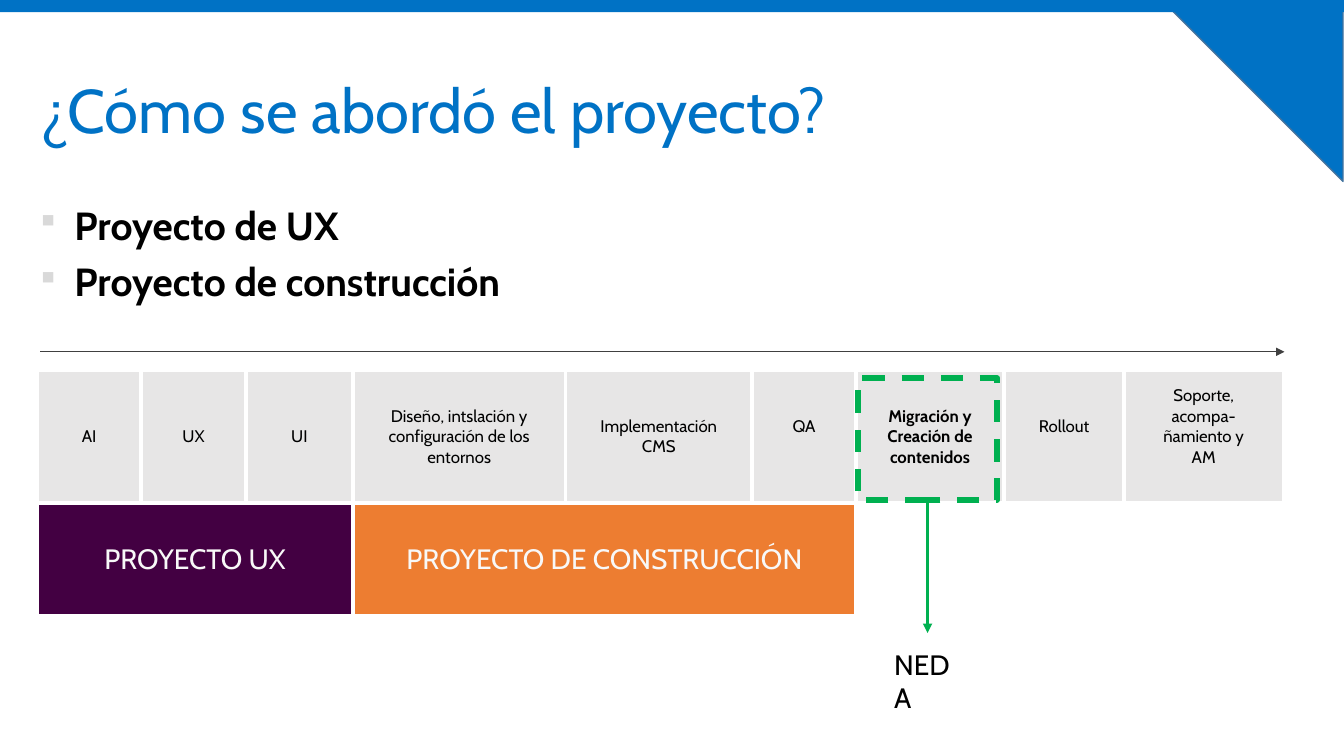
from dataclasses import dataclass

from lxml import etree
from pptx import Presentation
from pptx.dml.color import RGBColor
from pptx.enum.dml import MSO_LINE
from pptx.enum.shapes import MSO_CONNECTOR, MSO_SHAPE
from pptx.enum.text import MSO_ANCHOR, PP_ALIGN
from pptx.oxml.ns import qn
from pptx.util import Inches, Pt

RECTANGLE, TRIANGLE = MSO_SHAPE.RECTANGLE, MSO_SHAPE.RIGHT_TRIANGLE
STRAIGHT, DASH = MSO_CONNECTOR.STRAIGHT, MSO_LINE.DASH
CENTER, LEFT = PP_ALIGN.CENTER, PP_ALIGN.LEFT
MIDDLE, TOP = MSO_ANCHOR.MIDDLE, MSO_ANCHOR.TOP
BOTTOM_SIDE = 2


@dataclass(frozen=True)
class Theme:
    font: str = "Cabin"
    bullet_font: str = "Wingdings"
    blue: str = "0072C5"
    corner_edge: str = "43739E"
    ink: str = "000000"
    white: str = "FFFFFF"
    pale: str = "F8F8F8"
    bullet: str = "D9D9D9"
    stage: str = "E7E6E6"
    purple: str = "430042"
    orange: str = "ED7D31"
    green: str = "00B050"
    timeline: str = "404040"
    title_size: int = 44
    bullet_size: int = 28
    label_size: int = 20
    stage_size: int = 12


THEME = Theme()

STAGES = [
    ("AI", 1.03, {}),
    ("UX", 1.04, {}),
    ("UI", 1.06, {}),
    ("Diseño, intslación y configuración de los entornos", 2.11, {}),
    ("Implementación CMS", 1.85, {}),
    ("QA", 1.03, {"bottom": 0.35}),
    ("Migración y Creación de contenidos", 1.47, {"bold": True}),
    ("Rollout", 1.19, {"bottom": 0.35}),
    ("Soporte, acompa-ñamiento y AM", 1.58, {"bottom": 0.35}),
]
PROJECTS = [
    ("PROYECTO UX", 0, 2, THEME.purple),
    ("PROYECTO DE CONSTRUCCIÓN", 3, 5, THEME.orange),
]
ROW_HEIGHTS = (1.32, 1.12)


def apply_format(target, values):
    for name, value in values.items():
        setattr(target, name, value)


def write(paragraph, text, size, color, bold=False, **layout):
    apply_format(paragraph, layout)
    run = paragraph.add_run()
    run.text = text
    apply_format(run.font, {"name": THEME.font, "size": Pt(size), "bold": bold})
    run.font.color.rgb = RGBColor.from_string(color)


def add_text_frame(slide, box, anchor=TOP):
    frame = slide.shapes.add_textbox(*map(Inches, box)).text_frame
    apply_format(frame, {"word_wrap": True, "vertical_anchor": anchor})
    return frame


def set_line(line, color, width, dash=None):
    line.color.rgb = RGBColor.from_string(color)
    line.width = Pt(width)
    if dash:
        line.dash_style = dash


def add_block(slide, kind, box, fill=None, outline=None, rotation=0):
    block = slide.shapes.add_shape(kind, *map(Inches, box))
    block.shadow.inherit = False
    block.rotation = rotation
    if fill:
        block.fill.solid()
        block.fill.fore_color.rgb = RGBColor.from_string(fill)
    else:
        block.fill.background()
    if outline:
        set_line(block.line, *outline)
    else:
        block.line.fill.background()
    return block


def add_arrow(slide, start, end, color, width):
    arrow = slide.shapes.add_connector(STRAIGHT, *map(Inches, start + end))
    set_line(arrow.line, color, width)
    properties = arrow._element.spPr
    etree.SubElement(properties.find(qn("a:ln")), qn("a:tailEnd"), type="triangle")
    etree.SubElement(properties, qn("a:effectLst"))
    return arrow


def add_bullets(slide, box, items):
    frame = add_text_frame(slide, box)
    for index, item in enumerate(items):
        paragraph = frame.add_paragraph() if index else frame.paragraphs[0]
        layout = {"line_spacing": 0.9}
        if index:
            layout["space_before"] = Pt(10)
        apply_format(paragraph, layout)
        properties = paragraph._p.get_or_add_pPr()
        properties.set("marL", str(Inches(0.34)))
        properties.set("indent", str(-Inches(0.34)))
        bullet_color = etree.SubElement(properties, qn("a:buClr"))
        etree.SubElement(bullet_color, qn("a:srgbClr"), val=THEME.bullet)
        etree.SubElement(properties, qn("a:buSzPct"), val="90000")
        etree.SubElement(properties, qn("a:buFont"), typeface=THEME.bullet_font,
                         charset="2")
        etree.SubElement(properties, qn("a:buChar"), char="§")
        write(paragraph, item, THEME.bullet_size, THEME.ink, bold=True)


def add_borders(cell):
    properties = cell._tc.get_or_add_tcPr()
    for side in ("lnL", "lnR", "lnT", "lnB"):
        border = etree.SubElement(properties, qn(f"a:{side}"), w=str(Pt(3)))
        fill = etree.SubElement(border, qn("a:solidFill"))
        etree.SubElement(fill, qn("a:srgbClr"), val=THEME.white)


def fill_cell(cell, text, size, color, fill, bold=False, bottom=0.15):
    apply_format(cell, {
        "margin_left": Inches(0.28), "margin_right": Inches(0.28),
        "margin_top": Inches(0.15), "margin_bottom": Inches(bottom),
        "vertical_anchor": MIDDLE,
    })
    cell.fill.solid()
    cell.fill.fore_color.rgb = RGBColor.from_string(fill)
    write(cell.text_frame.paragraphs[0], text, size, color, bold, alignment=CENTER)


def add_phase_table(slide, left, top):
    width = sum(stage[1] for stage in STAGES)
    box = (left, top, width, sum(ROW_HEIGHTS))
    table = slide.shapes.add_table(2, len(STAGES), *map(Inches, box)).table
    apply_format(table, {"first_row": False, "horz_banding": False})
    for row, height in zip(table.rows, ROW_HEIGHTS):
        row.height = Inches(height)
    last_project_column = PROJECTS[-1][2]
    for column, (text, column_width, style) in enumerate(STAGES):
        table.columns[column].width = Inches(column_width)
        stage, below = table.cell(0, column), table.cell(1, column)
        add_borders(stage)
        fill_cell(stage, text, THEME.stage_size, THEME.ink, THEME.stage, **style)
        if column <= last_project_column:
            add_borders(below)
        else:
            below.fill.background()
    for text, first, last, fill in PROJECTS:
        project = table.cell(1, first)
        project.merge(table.cell(1, last))
        fill_cell(project, text, THEME.label_size, THEME.pale, fill)


def main():
    deck = Presentation()
    deck.slide_width, deck.slide_height = Inches(13.33), Inches(7.5)
    slide = deck.slides.add_slide(deck.slide_layouts[6])

    add_block(slide, TRIANGLE, (11.52, 0, 1.8, 1.8), THEME.blue,
              (THEME.corner_edge, 1), rotation=180)
    add_block(slide, RECTANGLE, (0, 0, 13.33, 0.12), THEME.blue)

    title = add_text_frame(slide, (0.3, 0.4, 12.12, 1.45), MIDDLE)
    write(title.paragraphs[0], "¿Cómo se abordó el proyecto?",
          THEME.title_size, THEME.blue, line_spacing=0.9)
    add_bullets(slide, (0.3, 2, 12.12, 1.2),
                ["Proyecto de UX", "Proyecto de construcción"])

    add_phase_table(slide, 0.37, 3.67)
    add_arrow(slide, (0.4, 3.49), (12.74, 3.49), THEME.timeline, 0.5)

    migration = add_block(slide, RECTANGLE, (8.51, 3.75, 1.38, 1.21),
                          outline=(THEME.green, 4, DASH))
    handover = add_arrow(slide, (9.2, 4.96), (9.2, 6.28), THEME.green, 2.25)
    handover.begin_connect(migration, BOTTOM_SIDE)
    client = add_text_frame(slide, (8.77, 6.37, 0.8, 0.78))
    write(client.paragraphs[0], "NEDA", THEME.label_size, THEME.ink, alignment=LEFT)

    deck.save("out.pptx")


if __name__ == "__main__":
    main()
